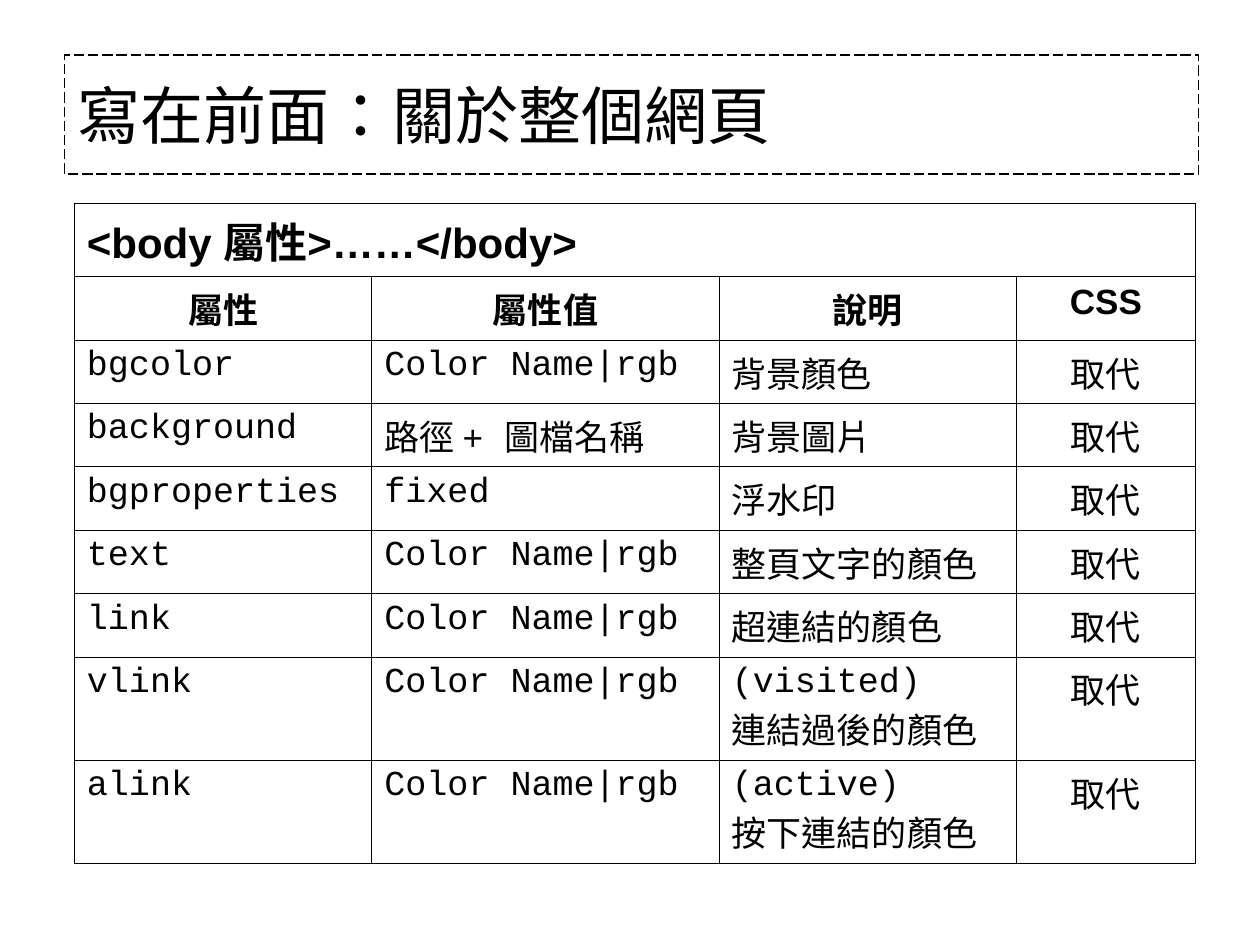
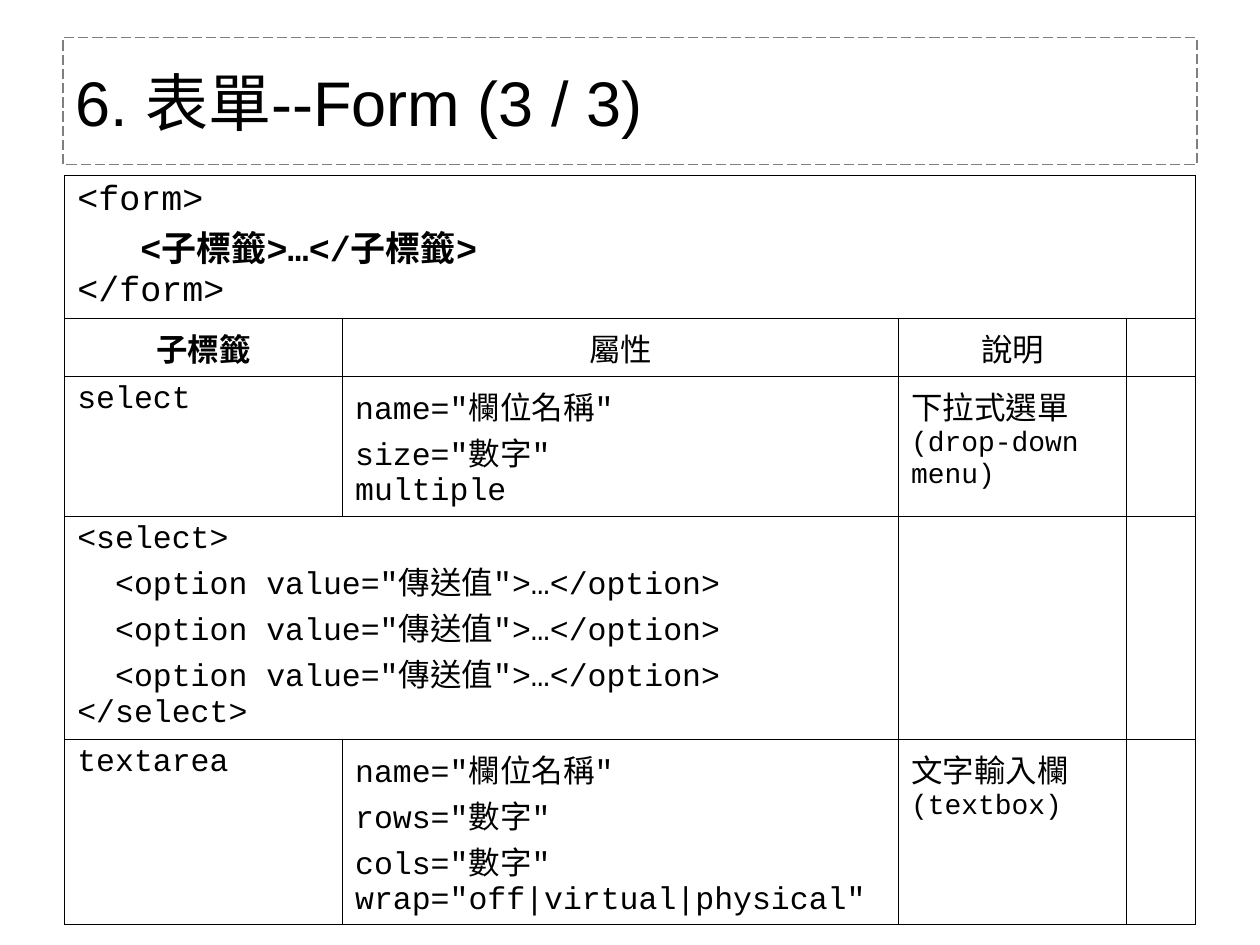
from dataclasses import dataclass

import pptx
import pptx.dml.color
import pptx.enum.dml
import pptx.enum.lang
import pptx.enum.text
import pptx.oxml
import pptx.oxml.ns
import pptx.slide
import pptx.table
import pptx.text.text
import pptx.util

Pt = pptx.util.Pt
BLACK = pptx.dml.color.RGBColor(0x00, 0x00, 0x00)
GREY = pptx.dml.color.RGBColor(0x7F, 0x7F, 0x7F)
SANS = "Arial"
MONO = "Courier New"
BORDER_WIDTH = 0.45


@dataclass(frozen=True)
class Title:
    text: str
    left: float
    top: float
    height: float
    outline: pptx.dml.color.RGBColor
    width: float = 648


@dataclass(frozen=True)
class Line:
    text: str
    size: float = 20
    font: str = MONO
    bold: bool = False


@dataclass(frozen=True)
class Entry:
    lines: tuple[Line, ...] = ()
    centered: bool = False
    columns: int = 1


@dataclass(frozen=True)
class Grid:
    left: float
    top: float
    widths: tuple[float, ...]
    heights: tuple[float, ...]
    rows: tuple[tuple[Entry, ...], ...]


def entry(*texts: str, size: float = 20, font: str = MONO, bold: bool = False,
          centered: bool = False, columns: int = 1) -> Entry:
    return Entry(tuple(Line(text, size, font, bold) for text in texts), centered, columns)


def attribute_row(name: str, value: str, *meaning: str) -> tuple[Entry, ...]:
    meaning_font = MONO if len(meaning) > 1 else SANS
    return (entry(name), entry(value), entry(*meaning, font=meaning_font),
            entry("取代", font=SANS, centered=True))


def control_row(tag: str, attributes: tuple[str, ...], meaning: str, english: str) -> tuple[Entry, ...]:
    return (entry(tag, size=18), entry(*attributes, size=18),
            Entry((Line(meaning, 18), Line(english, 16))), Entry())


COLOR_VALUE = "Color Name|rgb"
OPTION = '  <option value="傳送值">…</option>'

BODY_TITLE = Title("寫在前面：關於整個網頁", 37, 31.5, 68, BLACK)
BODY_GRID = Grid(
    42.5, 116, (170, 198.5, 170, 102), (42.2,) + (36.2,) * 6 + (59,) * 2,
    (
        (entry("<body 屬性>……</body>", size=24, font=SANS, bold=True, columns=4),),
        tuple(entry(text, bold=True, centered=True) for text in ("屬性", "屬性值", "說明"))
        + (entry("CSS", font=SANS, bold=True, centered=True),),
        attribute_row("bgcolor", COLOR_VALUE, "背景顏色"),
        attribute_row("background", "路徑 + 圖檔名稱", "背景圖片"),
        attribute_row("bgproperties", "fixed", "浮水印"),
        attribute_row("text", COLOR_VALUE, "整頁文字的顏色"),
        attribute_row("link", COLOR_VALUE, "超連結的顏色"),
        attribute_row("vlink", COLOR_VALUE, "(visited)", "連結過後的顏色"),
        attribute_row("alink", COLOR_VALUE, "(active)", "按下連結的顏色"),
    ),
)

FORM_TITLE = Title("6. 表單--Form (3 / 3)", 36, 21.5, 72.75, GREY)
FORM_GRID = Grid(
    37, 100, (158.75, 317.75, 130.25, 39.5), (82, 33, 80, 127.5, 106),
    (
        (Entry((Line("<form>"), Line("   <子標籤>…</子標籤>", bold=True), Line("</form>")), columns=4),),
        tuple(entry(text, size=18, bold=text == "子標籤", centered=True)
              for text in ("子標籤", "屬性", "說明")) + (Entry(),),
        control_row("select", ('name="欄位名稱"', 'size="數字"', "multiple"),
                    "下拉式選單", "(drop-down menu)"),
        (entry("<select>", OPTION, OPTION, OPTION, "</select>", size=18, columns=2), Entry(), Entry()),
        control_row("textarea", ('name="欄位名稱"', 'rows="數字"', 'cols="數字"',
                                 'wrap="off|virtual|physical"'),
                    "文字輸入欄", "(textbox)"),
    ),
)


def write_line(para: pptx.text.text._Paragraph, line: Line) -> None:
    para.text = line.text
    for span in para.runs:
        span.font.name = line.font
        span.font.size = Pt(line.size)
        span.font.bold = line.bold
        span.font.color.rgb = BLACK
        span.font.language_id = pptx.enum.lang.MSO_LANGUAGE_ID.TRADITIONAL_CHINESE


def draw_title(page: pptx.slide.Slide, title: Title) -> None:
    box = page.shapes.add_textbox(Pt(title.left), Pt(title.top), Pt(title.width), Pt(title.height))
    box.line.color.rgb = title.outline
    box.line.width = Pt(0.75)
    box.line.dash_style = pptx.enum.dml.MSO_LINE.LONG_DASH
    box.text_frame.word_wrap = True
    box.text_frame.vertical_anchor = pptx.enum.text.MSO_ANCHOR.MIDDLE
    write_line(box.text_frame.paragraphs[0], Line(title.text, 36, SANS))


def style_cell(cell: pptx.table._Cell) -> None:
    cell.fill.background()
    properties = cell._tc.get_or_add_tcPr()
    for index, side in enumerate(("lnL", "lnR", "lnT", "lnB")):
        border = pptx.oxml.parse_xml(
            f'<a:{side} {pptx.oxml.ns.nsdecls("a")} w="{Pt(BORDER_WIDTH)}">'
            f'<a:solidFill><a:srgbClr val="{BLACK}"/></a:solidFill></a:{side}>')
        properties.insert(index, border)


def fill_cell(cell: pptx.table._Cell, content: Entry) -> None:
    frame = cell.text_frame
    for index, line in enumerate(content.lines):
        para = frame.add_paragraph() if index else frame.paragraphs[0]
        write_line(para, line)
        if content.centered:
            para.alignment = pptx.enum.text.PP_ALIGN.CENTER


def draw_grid(page: pptx.slide.Slide, grid: Grid) -> None:
    table = page.shapes.add_table(
        len(grid.heights), len(grid.widths), Pt(grid.left), Pt(grid.top),
        Pt(sum(grid.widths)), Pt(sum(grid.heights))).table
    table.first_row = False
    table.horz_banding = False
    for column, width in zip(table.columns, grid.widths):
        column.width = Pt(width)
    for row, height in zip(table.rows, grid.heights):
        row.height = Pt(height)
    for cell in table.iter_cells():
        style_cell(cell)
    for row_index, contents in enumerate(grid.rows):
        column_index = 0
        for content in contents:
            cell = table.cell(row_index, column_index)
            column_index += content.columns
            if content.columns > 1:
                cell.merge(table.cell(row_index, column_index - 1))
            fill_cell(cell, content)


def main() -> None:
    deck = pptx.Presentation()
    deck.slide_width, deck.slide_height = Pt(720), Pt(540)
    for title, grid in ((BODY_TITLE, BODY_GRID), (FORM_TITLE, FORM_GRID)):
        page = deck.slides.add_slide(deck.slide_layouts[6])
        draw_title(page, title)
        draw_grid(page, grid)
    deck.save("out.pptx")


if __name__ == "__main__":
    main()
